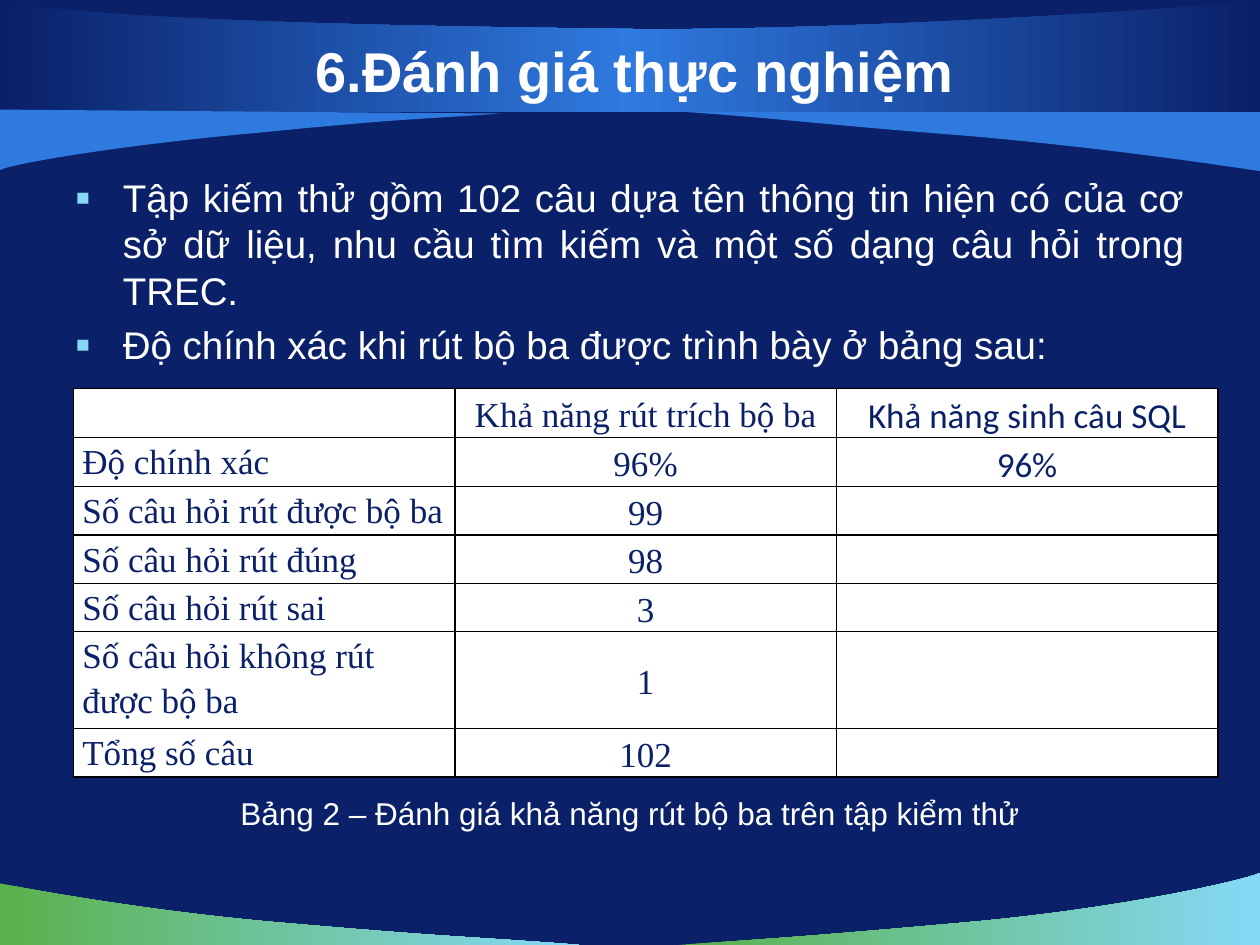
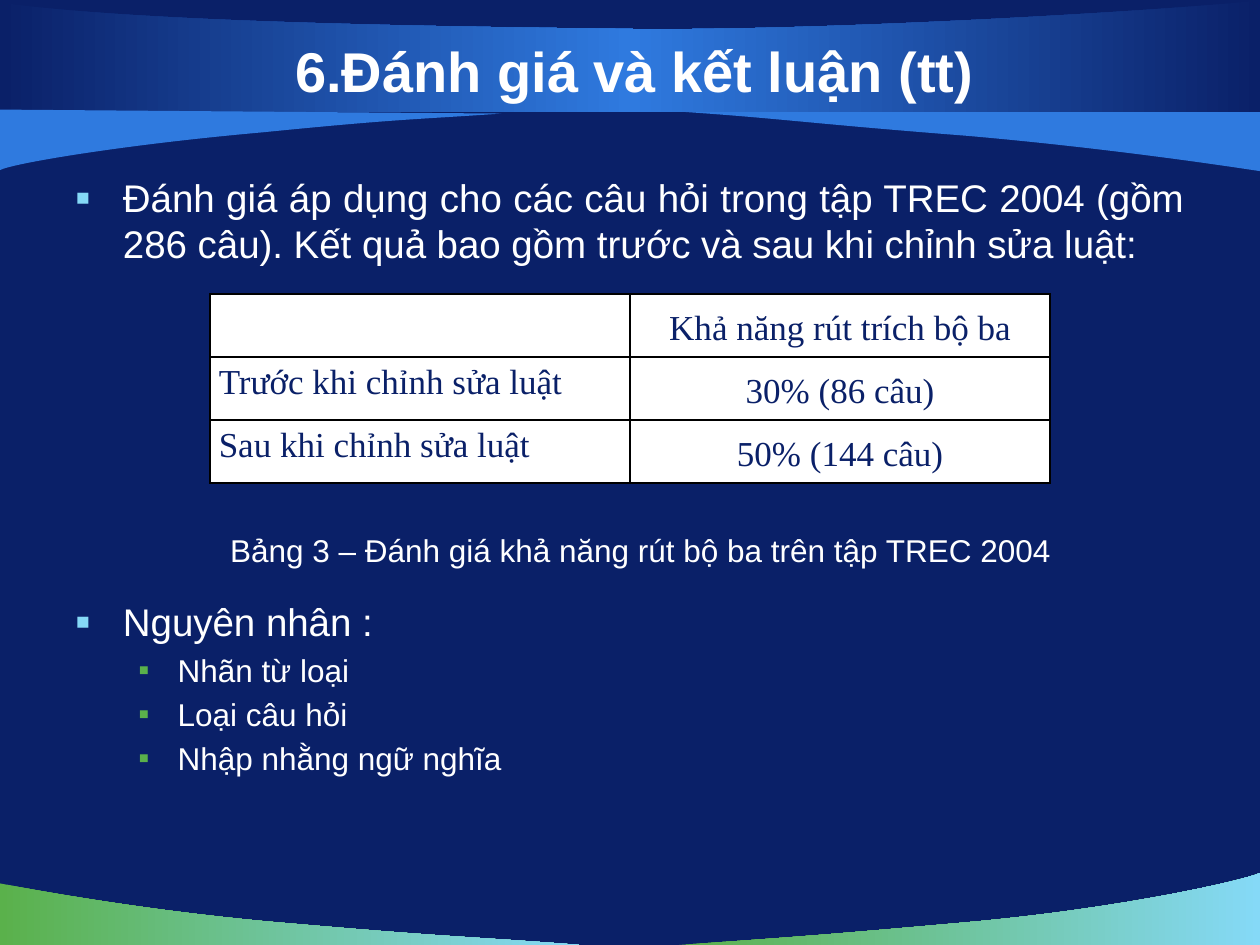
"""Build two slides on the test results of triple extraction."""
from copy import deepcopy
from lxml.etree import Element, SubElement
from pptx import Presentation
from pptx.dml.color import RGBColor
from pptx.enum.text import MSO_ANCHOR, PP_ALIGN
from pptx.oxml import parse_xml
from pptx.oxml.ns import nsdecls, qn
from pptx.util import Cm, Pt

NAVY = RGBColor(0x0A, 0x20, 0x68)
BLUE = RGBColor(0x2F, 0x7A, 0xDF)
GREEN = RGBColor(0x5A, 0xB1, 0x4B)
SKY = RGBColor(0x85, 0xD9, 0xF7)
WHITE = RGBColor(0xFF, 0xFF, 0xFF)
BLACK = RGBColor(0, 0, 0)

WAVES = [
    ([GREEN, SKY],
     [(11.68, 19.05), (9.75, 18.9), (9.09, 18.9), (5.89, 18.62),
      (2.69, 18.36), (0.03, 17.81), (0, 17.81)],
     [(0, 19.05)]),
    ([GREEN, SKY],
     [(13.69, 19.05), (15.6, 18.92), (16.41, 18.87), (19.53, 18.59),
      (22.66, 18.31), (25.15, 17.73), (25.4, 17.6)],
     [(25.4, 19.05)]),
    ([BLUE],
     [(13.82, 2.26), (15.75, 2.39), (16.31, 2.49), (19.51, 2.74),
      (22.71, 3.02), (25.37, 3.45), (25.4, 3.45)],
     [(25.4, 2.24)]),
    ([NAVY, BLUE, NAVY],
     [(25.4, 0), (24.49, 0.15), (16.59, 0.66), (12.37, 0.58),
      (8.15, 0.53), (2.57, 0.43), (0, 0.05)],
     [(0, 2.26), (25.4, 2.26)]),
    ([BLUE],
     [(10.11, 2.29), (8.41, 2.41), (8.08, 2.39), (5.28, 2.67),
      (2.46, 2.92), (0.23, 3.3), (0, 3.43)],
     [(0, 2.21)]),
]

LEVELS = [
    {"size": 22, "left": 0.96, "hang": 0.96, "dot": SKY, "scale": 115},
    {"size": 18, "left": 2.06, "hang": 0.79, "dot": GREEN, "scale": 100},
]

PAGES = [
    {
        "title": "6.Đánh giá thực nghiệm",
        "body": [
            ("Tập kiếm thử gồm 102 câu dựa tên thông tin hiện có của cơ sở dữ liệu, "
             "nhu cầu tìm kiếm và một số dạng câu hỏi trong TREC.", 0, 4.4),
            ("Độ chính xác khi rút bộ ba được trình bày ở bảng sau:", 0, 4.4),
        ],
        "grid": (1.48, 7.83, 7.69),
        "highs": [0.99, 0.99, 0.9, 0.9, 0.9, 1.8, 0.9],
        "rows": [
            ["", "Khả năng rút trích bộ ba", "Khả năng sinh câu SQL"],
            ["Độ chính xác", "96%", "96%"],
            ["Số câu hỏi rút được bộ ba", "99", ""],
            ["Số câu hỏi rút đúng", "98", ""],
            ["Số câu hỏi rút sai", "3", ""],
            ["Số câu hỏi không rút được bộ ba", "1", ""],
            ["Tổng số câu", "102", ""],
        ],
        "note": ("Bảng 2 – Đánh giá khả năng rút bộ ba trên tập kiểm thử", 3.39, 15.88),
    },
    {
        "title": "6.Đánh giá và kết luận (tt)",
        "body": [
            ("Đánh giá áp dụng cho các câu hỏi trong tập TREC 2004 (gồm 286 câu). "
             "Kết quả bao gồm trước và sau khi chỉnh sửa luật:", 0, 4.4),
            ("Nguyên nhân :", 0, 189.6),
            ("Nhãn từ loại", 1, 3.5),
            ("Loại câu hỏi", 1, 3.5),
            ("Nhập nhằng ngữ nghĩa", 1, 3.5),
        ],
        "grid": (4.23, 5.93, 8.47),
        "highs": [1.27] * 3,
        "rows": [
            ["", "Khả năng rút trích bộ ba"],
            ["Trước khi chỉnh sửa luật", "30% (86 câu)"],
            ["Sau khi chỉnh sửa luật", "50% (144 câu)"],
        ],
        "note": ("Bảng 3 – Đánh giá khả năng rút bộ ba trên tập TREC 2004", 3.6, 10.59),
    },
]


def write(par, text, size, color, align, face="Arial", bold=False):
    """Add one styled run to a paragraph."""
    par.alignment = align
    run = par.add_run()
    run.text = text
    font = run.font
    font.name, font.size, font.bold = face, Pt(size), bold
    font.color.rgb = color


deck = Presentation()
deck.slide_width, deck.slide_height = Cm(25.4), Cm(19.05)
slides = [deck.slides.add_slide(deck.slide_layouts[6]) for _ in PAGES]
master = deck.slide_master
master.background.fill.solid()
master.background.fill.fore_color.rgb = NAVY

for index, (colors, curve, corners) in enumerate(WAVES):
    dots = [(Cm(x), Cm(y)) for x, y in curve + corners]
    pen = slides[0].shapes.build_freeform(*dots[0])
    pen.add_line_segments(dots[1:], close=True)
    wave = pen.convert_to_shape()
    wave.shadow.inherit = False
    wave.line.fill.background()

    legs = list(wave.element.iter(qn("a:lnTo")))
    for first in (0, 3):
        bend = Element(qn("a:cubicBezTo"))
        legs[first].addprevious(bend)
        for leg in legs[first:first + 3]:
            bend.append(leg[0])
            leg.getparent().remove(leg)

    if len(colors) == 1:
        wave.fill.solid()
        wave.fill.fore_color.rgb = colors[0]
    else:
        wave.fill.gradient()
        wave.fill.gradient_angle = 0
        stops = wave.element.spPr.find(qn("a:gradFill")).find(qn("a:gsLst"))
        for _ in colors[2:]:
            stops.insert(1, deepcopy(stops[0]))
        for spot, (stop, color) in enumerate(zip(wave.fill.gradient_stops, colors)):
            stop.position = spot / (len(colors) - 1)
            stop.color.rgb = color

    wave.element.nvSpPr.cNvPr.set("id", str(100 + index))
    master.shapes._spTree.append(wave.element)

for slide, page in zip(slides, PAGES):
    shapes = slide.shapes
    frame = shapes.add_textbox(Cm(1.27), Cm(0.62), Cm(23.06), Cm(1.57)).text_frame
    frame.word_wrap = True
    frame.vertical_anchor = MSO_ANCHOR.MIDDLE
    write(frame.paragraphs[0], page["title"], 32, WHITE, PP_ALIGN.CENTER, bold=True)

    frame = shapes.add_textbox(Cm(1.27), Cm(3.39), Cm(22.86), Cm(14.4)).text_frame
    frame.word_wrap = True
    for spot, (text, depth, gap) in enumerate(page["body"]):
        par = frame.add_paragraph() if spot else frame.paragraphs[0]
        level = LEVELS[depth]
        write(par, text, level["size"], WHITE, PP_ALIGN.JUSTIFY)
        par.level = depth
        par.space_before = Pt(gap)
        props = par._p.get_or_add_pPr()
        props.set("marL", str(Cm(level["left"])))
        props.set("indent", str(-Cm(level["hang"])))
        SubElement(SubElement(props, qn("a:buClr")), qn("a:srgbClr"), val=str(level["dot"]))
        SubElement(props, qn("a:buSzPct"), val=str(level["scale"] * 1000))
        SubElement(props, qn("a:buFont"), typeface="Arial")
        SubElement(props, qn("a:buChar"), char="▪")

    left, top, wide = page["grid"]
    rows, highs = page["rows"], page["highs"]
    count = len(rows[0])
    table = shapes.add_table(len(rows), count, Cm(left), Cm(top),
                             Cm(wide * count), Cm(sum(highs))).table
    table.first_row = table.horz_banding = False
    for col in table.columns:
        col.width = Cm(wide)
    for r, (row, high) in enumerate(zip(rows, highs)):
        table.rows[r].height = Cm(high)
        for c, text in enumerate(row):
            cell = table.cell(r, c)
            cell.margin_left = cell.margin_right = Cm(0.18)
            cell.margin_top = cell.margin_bottom = 0
            cell.vertical_anchor = MSO_ANCHOR.MIDDLE if c else MSO_ANCHOR.TOP
            cell.fill.solid()
            cell.fill.fore_color.rgb = WHITE
            for spot, side in enumerate("LRTB"):
                cell._tc.tcPr.insert(spot, parse_xml(
                    f'<a:ln{side} {nsdecls("a")} w="{Pt(1)}"><a:solidFill>'
                    f'<a:srgbClr val="{BLACK}"/></a:solidFill></a:ln{side}>'))
            par = cell.text_frame.paragraphs[0]
            if text:
                par.line_spacing = 1.15
                write(par, text, 20, NAVY, PP_ALIGN.CENTER if c else PP_ALIGN.LEFT,
                      "Calibri" if c == 2 else "Times New Roman")
            else:
                SubElement(par._p, qn("a:endParaRPr"), sz="1000")

    text, left, top = page["note"]
    frame = shapes.add_textbox(Cm(left), Cm(top), Cm(18.62), Cm(1.02)).text_frame
    frame.word_wrap = True
    write(frame.paragraphs[0], text, 18, WHITE, PP_ALIGN.CENTER)

deck.save("out.pptx")
